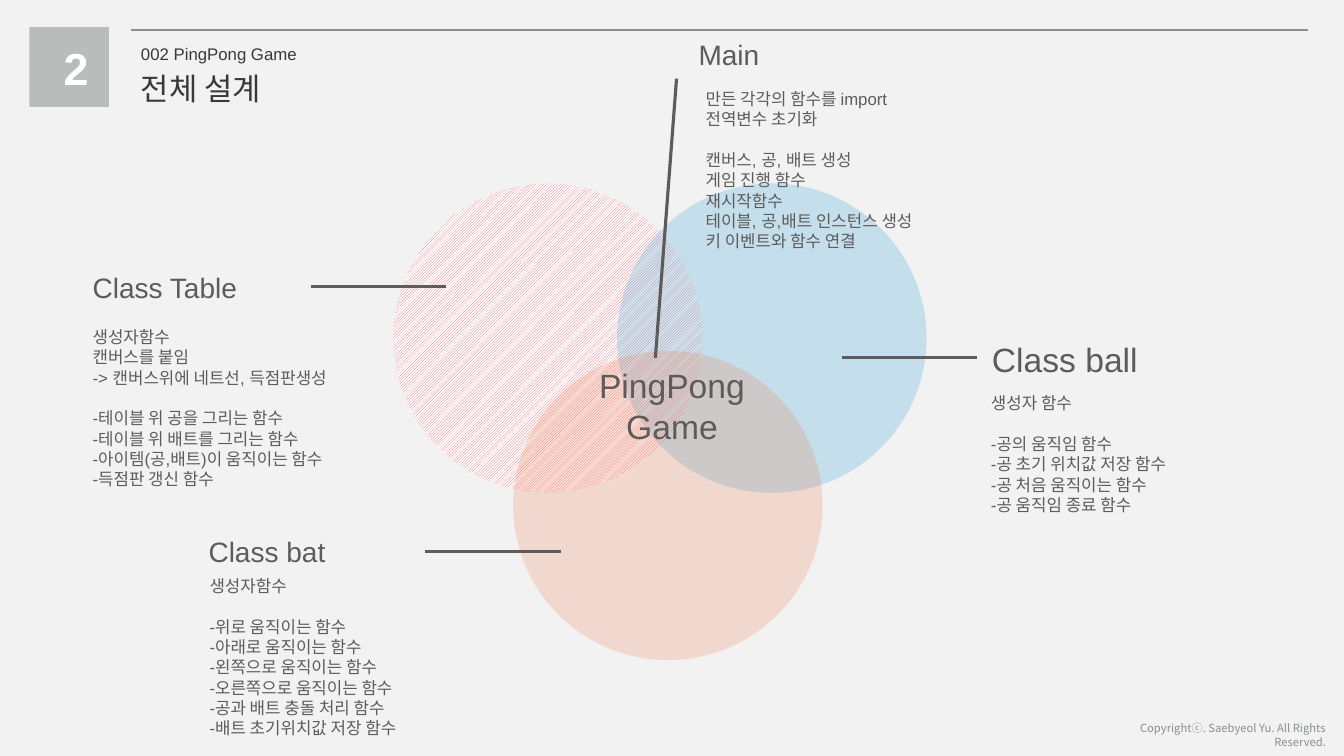
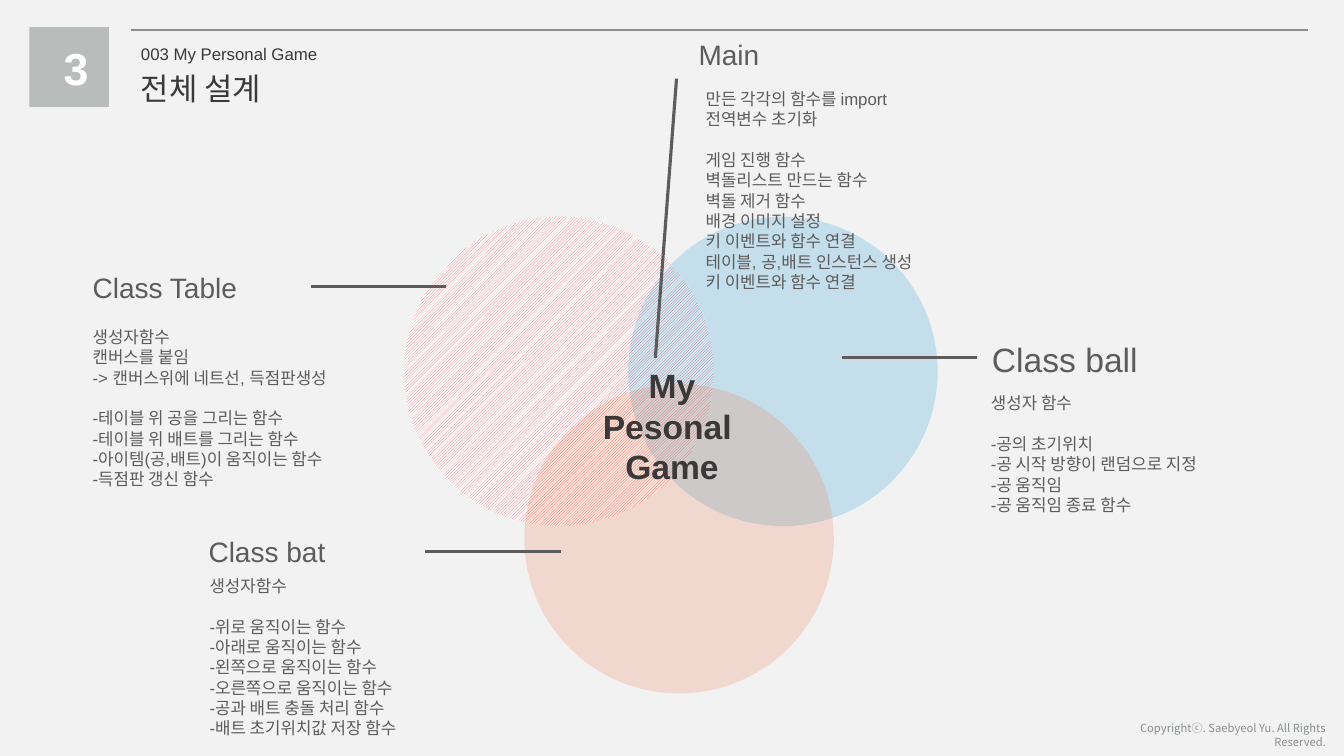
from pptx import Presentation
from pptx.dml.color import RGBColor as RGB
from pptx.enum.dml import MSO_PATTERN as PATTERN
from pptx.enum.shapes import MSO_CONNECTOR as LINE, MSO_SHAPE as SHAPE
from pptx.enum.text import PP_ALIGN as ALIGN
from pptx.oxml.ns import qn
from pptx.util import Inches, Pt
from lxml.etree import SubElement

# Colours and fonts
PAPER = RGB(0xF2, 0xF2, 0xF2)
WHITE = RGB(0xFF, 0xFF, 0xFF)
BADGE = RGB(0xB8, 0xBC, 0xBB)
RULE = RGB(0x89, 0x8F, 0x8D)
DARK = RGB(0x3A, 0x38, 0x38)
GREY = RGB(0x5D, 0x5B, 0x5B)
RED = RGB(0xED, 0x63, 0x6D)
BLUE = RGB(0x10, 0x97, 0xD0)
ORANGE = RGB(0xF1, 0x74, 0x42)
LATIN = "Arial"
KOREAN = "Noto Sans CJK KR"
PITCH = 1.21  # line height as a share of the text size


class Deck:
    def __init__(self):
        self.prs = Presentation()
        self.prs.slide_width = Inches(13.33)
        self.prs.slide_height = Inches(7.5)
        self.slide = None

    def start(self, number, topic, title):
        """Open a slide with its rule, badge, titles and footer."""
        self.slide = self.prs.slides.add_slide(self.prs.slide_layouts[6])
        fill = self.slide.background.fill
        fill.solid()
        fill.fore_color.rgb = PAPER
        self.line(1.3, 0.3, 12.97, 0.3, RULE, 1.5)
        self.shape(SHAPE.RECTANGLE, 0.29, 0.27, 0.79, 0.79, BADGE)
        self.text(0.44, 0.35, 0.63, 0.64, [[number]], 32, WHITE,
                  align=ALIGN.CENTER, bold=True)
        self.text(1.3, 0.38, 3, 0.3, [[topic]], 12, DARK)
        self.text(1.3, 0.64, 3, 0.47, [[title]], 22, DARK, font=KOREAN)
        self.text(10.8, 7.11, 2.45, 0.24,
                  [["Copyrightⓒ. Saebyeol Yu. All Rights Reserved."]],
                  8, RULE, font=KOREAN, align=ALIGN.RIGHT)

    def line(self, x1, y1, x2, y2, color=GREY, width=2.25):
        line = self.slide.shapes.add_connector(
            LINE.STRAIGHT, Inches(x1), Inches(y1), Inches(x2), Inches(y2))
        line.line.color.rgb = color
        line.line.width = Pt(width)
        SubElement(line._element.spPr, qn("a:effectLst"))

    def shape(self, kind, x, y, w, h, color, alpha=None):
        shape = self.slide.shapes.add_shape(
            kind, Inches(x), Inches(y), Inches(w), Inches(h))
        shape.shadow.inherit = False
        shape.line.fill.background()
        shape.fill.solid()
        shape.fill.fore_color.rgb = color
        if alpha:
            tint = shape._element.spPr.find(".//" + qn("a:srgbClr"))
            SubElement(tint, qn("a:alpha"), val=str(alpha * 1000))
        return shape

    def text(self, x, y, w, h, blocks, size, color, font=LATIN,
             align=ALIGN.LEFT, bold=False):
        """Write blocks of lines, one empty line's space between blocks."""
        box = self.slide.shapes.add_textbox(
            Inches(x), Inches(y), Inches(w), Inches(h))
        frame = box.text_frame
        frame.word_wrap = True
        pitch = Pt(round(size * PITCH, 1))
        rows = [(i, j, row) for i, block in enumerate(blocks)
                for j, row in enumerate(block)]
        for i, j, row in rows:
            first = i == 0 and j == 0
            para = frame.paragraphs[0] if first else frame.add_paragraph()
            para.text = row
            para.alignment = align
            para.line_spacing = pitch
            if i and j == 0:
                para.space_before = pitch
            para.font.size = Pt(size)
            para.font.bold = bold
            para.font.color.rgb = color
            para.font.name = font
            base = para._p.pPr.find(qn("a:defRPr"))
            SubElement(base, qn("a:ea"), typeface=KOREAN)

    def note(self, head, size, spot, blocks, area):
        """Place a heading at spot and its list in area."""
        self.text(*spot, 2.3, size / 60 + 0.1, [[head]], size, GREY)
        self.text(*area, blocks, 12, GREY, align=ALIGN.JUSTIFY)

    def venn(self, x, y):
        """Draw three overlapping circles from the top left one."""
        size = 3.07
        left = self.shape(SHAPE.OVAL, x, y, size, size, RED)
        left.fill.patterned()
        left.fill.pattern = PATTERN.DARK_UPWARD_DIAGONAL
        left.fill.fore_color.rgb = RED
        left.fill.back_color.rgb = WHITE
        self.shape(SHAPE.OVAL, x + 2.22, y, size, size, BLUE, 20)
        self.shape(SHAPE.OVAL, x + 1.19, y + 1.66, size, size, ORANGE, 20)


# Lists that both slides show
TABLE = [
    ["생성자함수", "캔버스를 붙임", "-> 캔버스위에 네트선, 득점판생성"],
    ["-테이블 위 공을 그리는 함수", "-테이블 위 배트를 그리는 함수",
     "-아이템(공,배트)이 움직이는 함수", "-득점판 갱신 함수"],
]
BAT = [
    ["생성자함수"],
    ["-위로 움직이는 함수", "-아래로 움직이는 함수", "-왼쪽으로 움직이는 함수",
     "-오른쪽으로 움직이는 함수", "-공과 배트 충돌 처리 함수",
     "-배트 초기위치값 저장 함수"],
]
SETUP = ["만든 각각의 함수를 import", "전역변수 초기화"]

# What differs from slide to slide
GAMES = [
    dict(
        number="2", topic="002 PingPong Game", venn=(3.9, 1.82),
        core=["PingPong", "Game"], color=GREY, bold=False,
        ball=["-공의 움직임 함수", "-공 초기 위치값 저장 함수",
              "-공 처음 움직이는 함수", "-공 움직임 종료 함수"],
        main=["캔버스, 공, 배트 생성", "게임 진행 함수", "재시작함수",
              "테이블, 공,배트 인스턴스 생성", "키 이벤트와 함수 연결"],
    ),
    dict(
        number="3", topic="003 My Personal Game", venn=(4.01, 2.15),
        core=["My Pesonal ", "Game"], color=DARK, bold=True,
        ball=["-공의 초기위치", "-공 시작 방향이 랜덤으로 지정",
              "-공 움직임", "-공 움직임 종료 함수"],
        main=["게임 진행 함수", "벽돌리스트 만드는 함수", "벽돌 제거 함수",
              "배경 이미지 설정", "키 이벤트와 함수 연결",
              "테이블, 공,배트 인스턴스 생성", "키 이벤트와 함수 연결"],
    ),
]


def main():
    deck = Deck()
    for game in GAMES:
        deck.start(game["number"], game["topic"], "전체 설계")
        deck.venn(*game["venn"])

        # Notes around the circles
        deck.note("Class ball", 24, (9.74, 3.31),
                  [["생성자 함수"], game["ball"]], (9.73, 3.85, 2.58, 1.51))
        deck.note("Class Table", 20, (0.82, 2.63),
                  TABLE, (0.82, 3.19, 2.84, 1.72))
        deck.note("Class bat", 20, (1.97, 5.25),
                  BAT, (1.98, 5.66, 2.23, 1.72))
        deck.note("Main", 20, (6.83, 0.32),
                  [SETUP, game["main"]], (6.9, 0.83, 3.06, 1.72))

        # Leaders from the notes to the circles
        for x, y in [(3.08, 2.84), (4.22, 5.47), (8.35, 3.55)]:
            deck.line(x, y, x + 1.34, y)
        deck.line(6.71, 0.78, 6.5, 3.55)

        # Name in the middle
        deck.text(5.8, 3.57, 1.73, 0.91, [game["core"]], 24, game["color"],
                  align=ALIGN.CENTER, bold=game["bold"])
    deck.prs.save("out.pptx")


if __name__ == "__main__":
    main()
